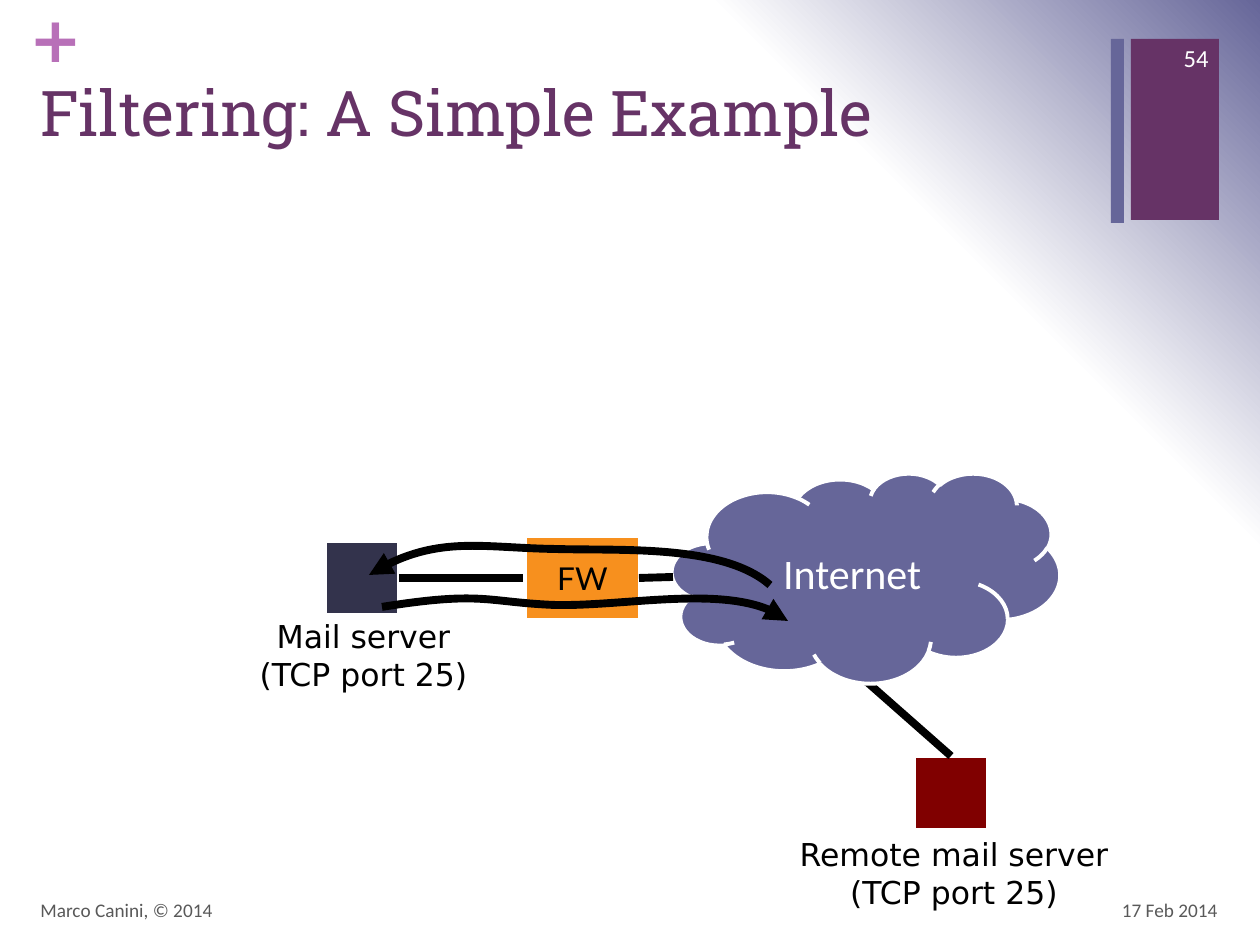
"""Build a slide showing mail filtering through a firewall."""
import pptx
import pptx.dml.color
import pptx.enum.shapes
import pptx.enum.text
import pptx.oxml
import pptx.oxml.ns
import pptx.util

EMU_PER_PX = 914400 / 126
SHAPES = pptx.enum.shapes.MSO_SHAPE
ALIGN = pptx.enum.text.PP_ALIGN
ANCHOR = pptx.enum.text.MSO_ANCHOR
PURPLE, SLATE, WHITE, BLACK, GREY = "663366", "666699", "FFFFFF", "000000", "595959"
GRADIENT_STOPS = [(0, WHITE), (75, WHITE), (100, SLATE)]


def px(length):
    """Turn pixels into EMU."""
    return pptx.util.Emu(round(length * EMU_PER_PX))


def color(value):
    """Turn a hex string into a colour."""
    return pptx.dml.color.RGBColor.from_string(value)


def element(tag, parent, **attributes):
    """Add an XML child with the given attributes."""
    child = pptx.oxml.parse_xml(f"<{tag} {pptx.oxml.ns.nsdecls('a')}/>")
    for name, value in attributes.items():
        child.set(name, str(value))
    parent.append(child)
    return child


def paint_background(page):
    """Fill the page with a gradient that spreads from the lower left corner."""
    page.background.fill.gradient()
    gradient = next(page.element.iter(pptx.oxml.ns.qn("a:gradFill")))
    for child in list(gradient):
        gradient.remove(child)
    stops = element("a:gsLst", gradient)
    for percent, value in GRADIENT_STOPS:
        stop = element("a:gs", stops, pos=percent * 1000)
        element("a:srgbClr", stop, val=value)
    circle = element("a:path", gradient, path="circle")
    element("a:fillToRect", circle, l=0, t=100000, r=100000, b=0)


def write(frame, text, size, font, value, align=ALIGN.LEFT, bold=False):
    """Write one paragraph for each line of text."""
    for index, line in enumerate(text.split("\n")):
        para = frame.paragraphs[0] if index == 0 else frame.add_paragraph()
        para.text = line
        para.alignment = align
        para.font.size = pptx.util.Pt(size)
        para.font.name = font
        para.font.bold = bold
        para.font.color.rgb = color(value)


def add_text(page, bounds, text, size, font, value, align=ALIGN.LEFT,
             anchor=ANCHOR.TOP, wrap=True, bold=False):
    """Add a text box and return its frame."""
    frame = page.shapes.add_textbox(*map(px, bounds)).text_frame
    frame.word_wrap = wrap
    frame.vertical_anchor = anchor
    write(frame, text, size, font, value, align, bold)
    return frame


def add_block(page, bounds, fill, kind=SHAPES.RECTANGLE, outlined=True):
    """Add a filled shape, outlined in white if wanted."""
    shape = page.shapes.add_shape(kind, *map(px, bounds))
    shape.shadow.inherit = False
    shape.fill.solid()
    shape.fill.fore_color.rgb = color(fill)
    if outlined:
        style_line(shape, WHITE, 2.25)
    else:
        shape.line.fill.background()
    shape.text_frame.vertical_anchor = ANCHOR.MIDDLE
    return shape


def style_line(shape, value, width):
    """Set the colour and width of a line."""
    shape.line.color.rgb = color(value)
    shape.line.width = pptx.util.Pt(width)


def add_link(page, start, end):
    """Add a thick straight link."""
    link = page.shapes.add_connector(
        pptx.enum.shapes.MSO_CONNECTOR.STRAIGHT, *map(px, start + end))
    style_line(link, BLACK, 4.5)
    element("a:effectLst", link._element.spPr)


def add_flow(page, points, arrow_end):
    """Add a curved arrow through a start point and cubic point triples."""
    corners = [(px(x), px(y)) for x, y in points]
    builder = page.shapes.build_freeform(*corners[0])
    builder.add_line_segments(corners[1:], close=False)
    flow = builder.convert_to_shape()
    flow.shadow.inherit = False
    flow.fill.background()
    style_line(flow, BLACK, 4.5)
    outline = next(flow._element.iter(pptx.oxml.ns.qn("a:path")))
    segments = outline.findall(pptx.oxml.ns.qn("a:lnTo"))
    for first in range(0, len(segments), 3):
        curve = element("a:cubicBezTo", outline)
        for segment in segments[first:first + 3]:
            curve.append(segment[0])
            outline.remove(segment)
    element(f"a:{arrow_end}", flow.line._get_or_add_ln(), type="triangle")


def add_frame(page):
    """Add the corner decoration and the title."""
    add_block(page, (1131, 39, 88, 181), PURPLE, outlined=False)
    plus = add_text(page, (30, 0, 37, 77), "+", 36, "DejaVu Sans", "B870B8", bold=True)
    plus.margin_left = plus.margin_right = plus.margin_top = plus.margin_bottom = 0
    add_block(page, (1111, 39, 13, 184), SLATE, outlined=False)
    add_text(page, (28, 67, 1082, 154), "Filtering: A Simple Example",
             36, "Roboto Slab", PURPLE)


def add_network(page):
    """Add the servers, the firewall, the cloud and the mail flows."""
    add_block(page, (325, 541, 74, 74), "33334C")
    add_block(page, (914, 756, 74, 74), "800000")
    add_link(page, (951, 756), (867, 682))
    for bounds, name in [((242, 611, 243, 89), "Mail server"),
                         ((785, 829, 338, 89), "Remote mail server")]:
        add_text(page, bounds, f"{name}\n(TCP port 25)", 18, "DejaVu Sans", BLACK,
                 ALIGN.CENTER, wrap=False)
    add_link(page, (399, 578), (525, 578))
    cloud = add_block(page, (672, 473, 388, 210), SLATE, SHAPES.CLOUD)
    write(cloud.text_frame, "Internet", 24, "Calibri", WHITE, ALIGN.CENTER)
    firewall = add_block(page, (525, 536, 115, 84), "F7901E")
    write(firewall.text_frame, "FW", 18, "Lato", BLACK, ALIGN.CENTER)
    add_link(page, (639, 578), (673, 577))
    add_flow(page, [(788, 621), (740, 581), (620, 607), (553, 605),
                    (485, 602), (483, 591), (382, 607)], "headEnd")
    add_flow(page, [(770, 585), (723, 544), (621, 551), (554, 549),
                    (488, 548), (433, 534), (369, 575)], "tailEnd")


def add_footer(page):
    """Add the date, the author and the page number."""
    for bounds, text, size, value, align in [
            ((936, 885, 294, 50), "17 Feb 2014", 11, GREY, ALIGN.RIGHT),
            ((28, 885, 844, 50), "Marco Canini, © 2014", 11, GREY, ALIGN.LEFT),
            ((1144, 33, 77, 50), "54", 14, WHITE, ALIGN.RIGHT)]:
        add_text(page, bounds, text, size, "Calibri", value, align, ANCHOR.MIDDLE)


def main():
    """Build and save the deck."""
    deck = pptx.Presentation()
    deck.slide_width, deck.slide_height = px(1260), px(945)
    page = deck.slides.add_slide(deck.slide_layouts[6])
    paint_background(page)
    add_frame(page)
    add_network(page)
    add_footer(page)
    deck.save("out.pptx")


if __name__ == "__main__":
    main()
